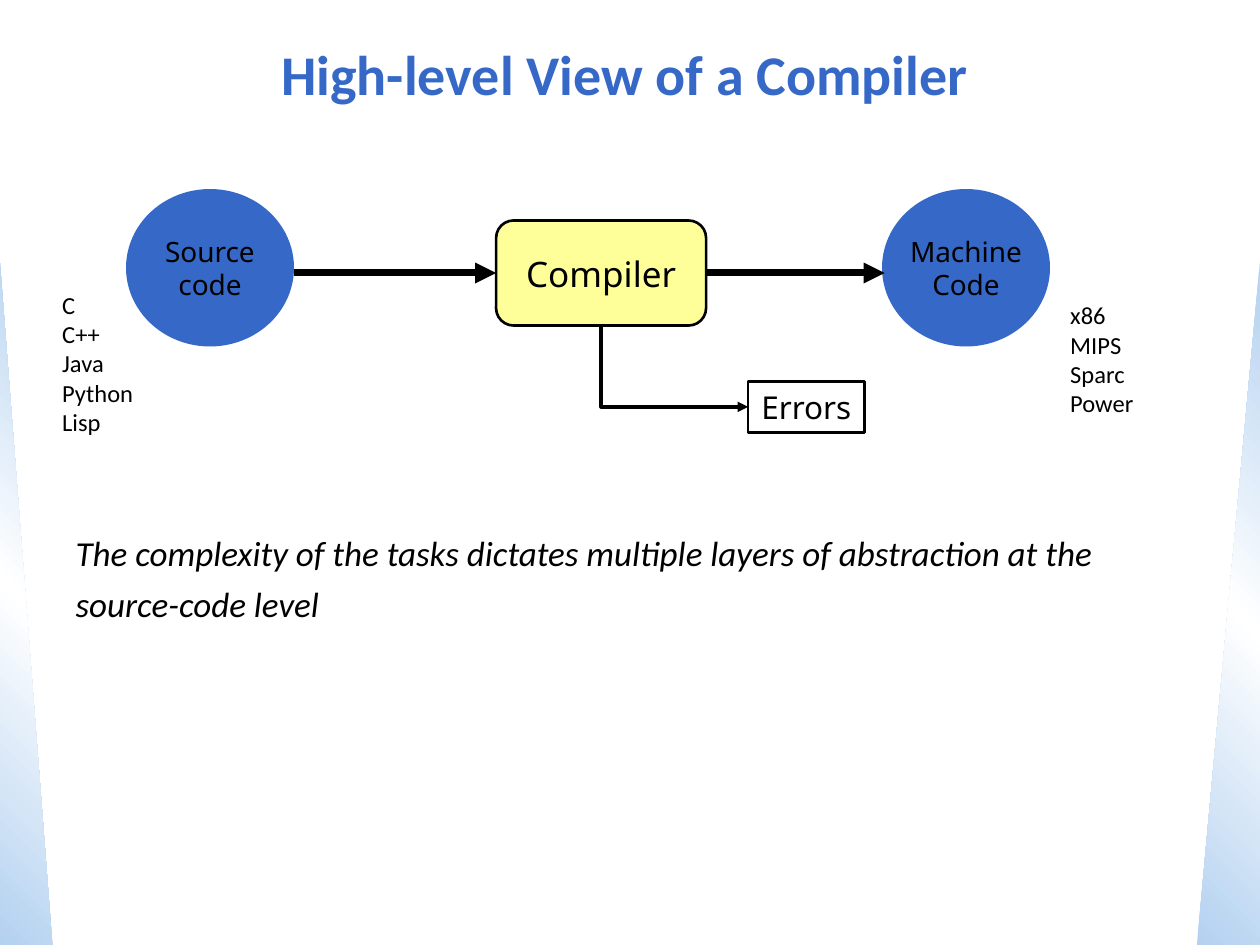
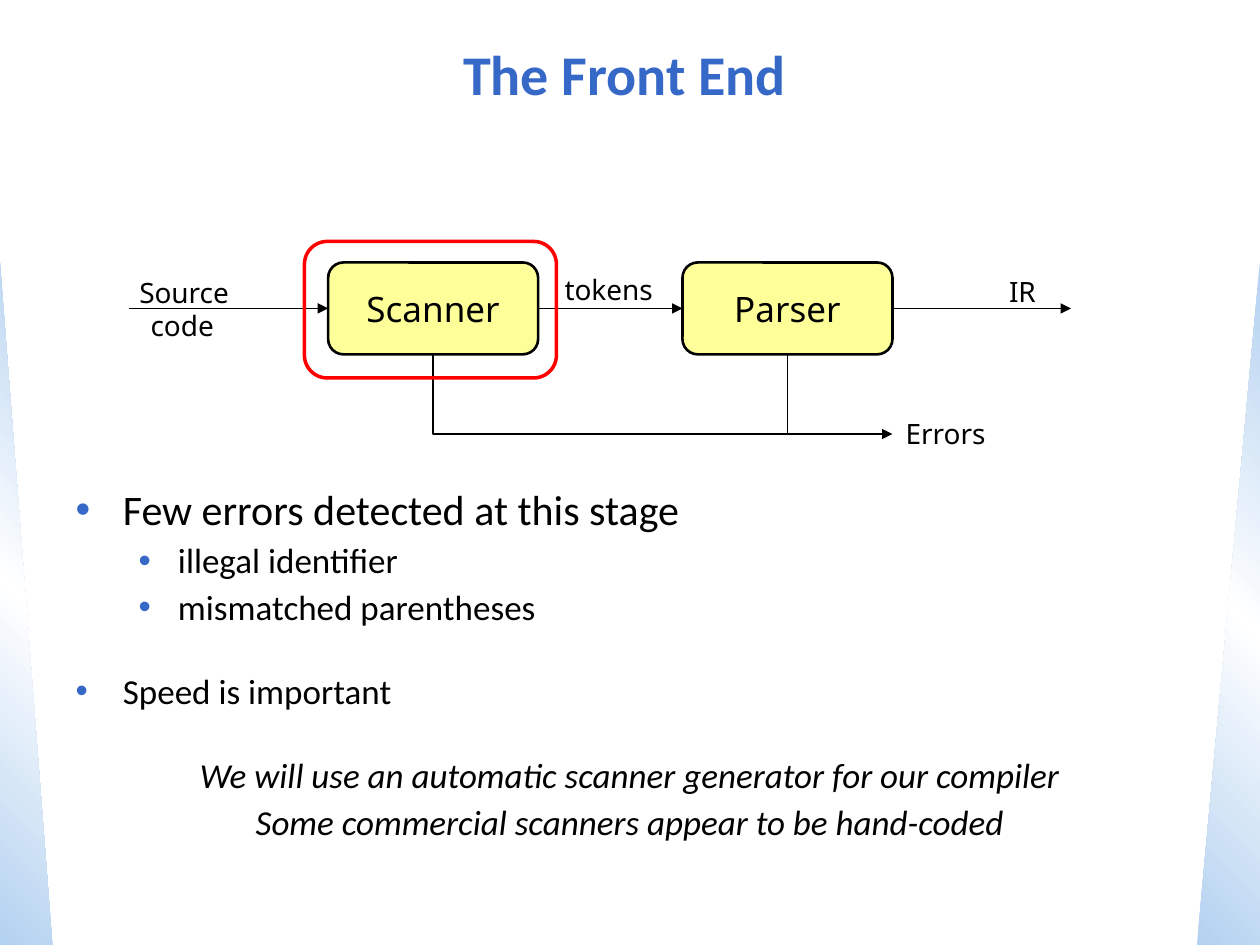
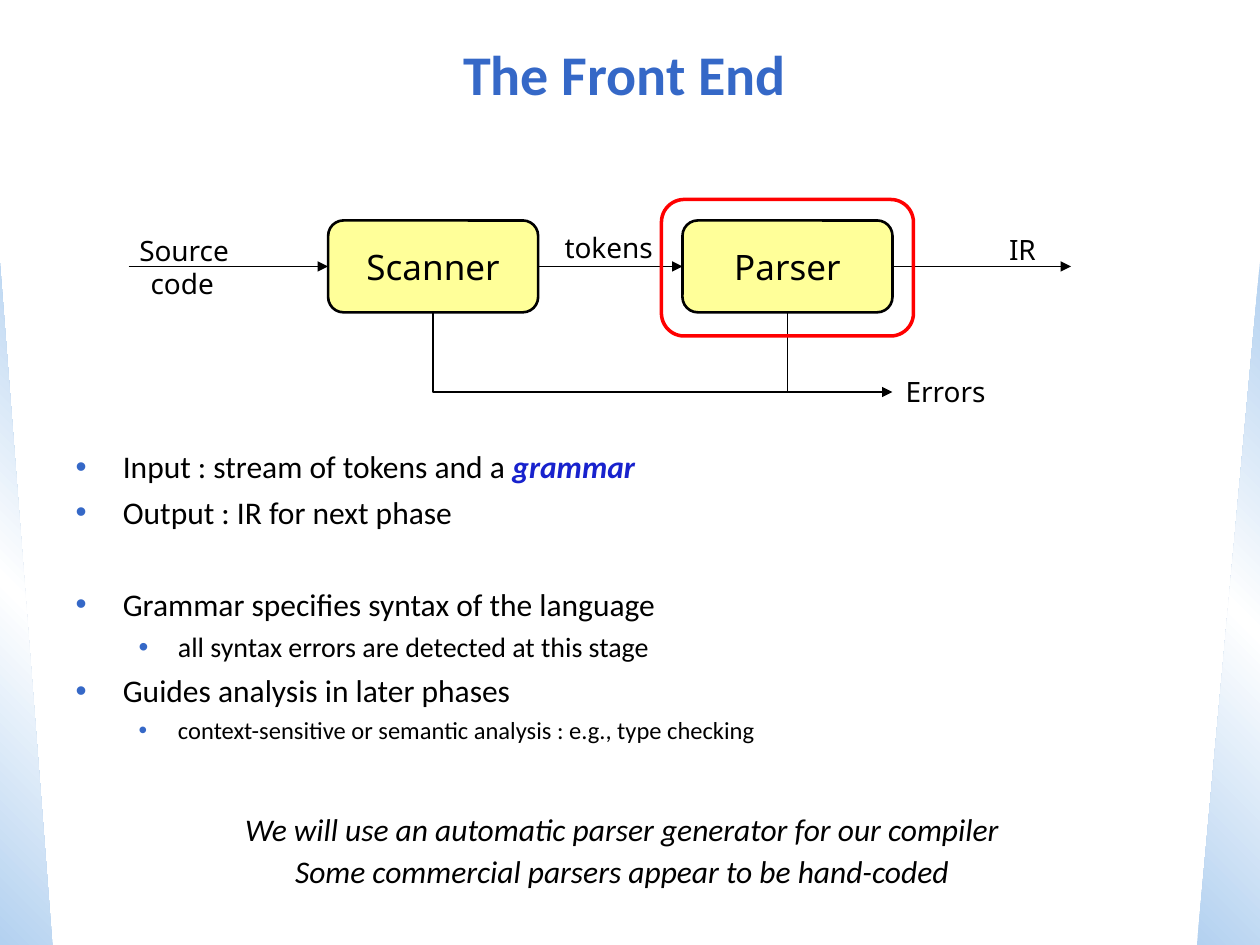
from copy import deepcopy

from pptx import Presentation
from pptx.dml.color import RGBColor
from pptx.enum.shapes import MSO_CONNECTOR, MSO_SHAPE
from pptx.enum.text import MSO_ANCHOR, MSO_AUTO_SIZE, PP_ALIGN
from pptx.oxml.ns import qn
from pptx.oxml.xmlchemy import OxmlElement
from pptx.util import Pt

STRAIGHT, ELBOW = MSO_CONNECTOR.STRAIGHT, MSO_CONNECTOR.ELBOW
RECT, ROUNDED = MSO_SHAPE.RECTANGLE, MSO_SHAPE.ROUNDED_RECTANGLE
OVAL, TRIANGLE = MSO_SHAPE.OVAL, MSO_SHAPE.RIGHT_TRIANGLE
LEFT, CENTER = PP_ALIGN.LEFT, PP_ALIGN.CENTER
MIDDLE, TOP = MSO_ANCHOR.MIDDLE, MSO_ANCHOR.TOP
BOTTOM_SIDE, LEFT_SIDE, RIGHT_SIDE = 2, 1, 3

BLUE = RGBColor(0x35, 0x68, 0xC7)
DEEP_BLUE = RGBColor(0x18, 0x22, 0xCD)
PALE_BLUE = RGBColor(0xB3, 0xD1, 0xF0)
YELLOW = RGBColor(0xFF, 0xFF, 0x99)
RED = RGBColor(0xFF, 0, 0)
BLACK = RGBColor(0, 0, 0)
WHITE = RGBColor(0xFF, 0xFF, 0xFF)
BODY_FONT, DIAGRAM_FONT = "Calibri", "Noto Sans"

# ---- Content ----
# Body lines: kind, size, space before, text, optional emphasised ending
OVERVIEW_BODY = [
    ("remark", 20, 0, "The complexity of the tasks dictates multiple layers of abstraction at the"),
    ("remark", 20, 5, "source-code level"),
]
SCANNER_BODY = [
    ("point", 24, 0, "Few errors detected at this stage"),
    ("detail", 20, 5, "illegal identifier"),
    ("detail", 20, 5, "mismatched parentheses"),
    ("point", 20, 26.5, "Speed is important"),
    ("closing", 20, 26.5, "We will use an automatic scanner generator for our compiler"),
    ("closing", 20, 5, "Some commercial scanners appear to be hand-coded"),
]
PARSER_BODY = [
    ("point", 18, 0, "Input : stream of tokens and a ", "grammar"),
    ("point", 18, 4.5, "Output : IR for next phase"),
    ("point", 18, 31, "Grammar specifies syntax of the language"),
    ("detail", 16, 4, "all syntax errors are detected at this stage"),
    ("point", 18, 4.5, "Guides analysis in later phases"),
    ("detail", 14, 3.5, "context-sensitive or semantic analysis : e.g., type checking"),
]
PARSER_CLOSING = [
    ("closing", 18, 0, "We will use an automatic parser generator for our compiler"),
    ("closing", 18, 4.5, "Some commercial parsers appear to be hand-coded"),
]
# Kind: level, left margin, first-line indent, alignment
LINE_KINDS = {
    "point": (0, 27, -27, LEFT),
    "detail": (1, 58.5, -22.5, LEFT),
    "remark": (0, 0, 0, LEFT),
    "closing": (0, 0, 0, CENTER),
}
SOURCE_LANGUAGES = ["C", "C++", "Java", "Python", "Lisp"]
TARGET_MACHINES = ["x86", "MIPS", "Sparc", "Power"]
# Front-end labels: text, left, offset from the stage tops, width
FRONT_END_LABELS = [
    ("Source", 72.5, 4, 65.5),
    ("code", 79, 22.8, 50.5),
    ("tokens", 315.5, 2, 65),
    ("IR", 569.5, 3.5, 29.5),
    ("Errors", 510.5, 84.7, 60.5),
]


# ---- Text ----
def style(font, size, name, color=BLACK, bold=False, italic=False):
    font.size, font.name, font.bold, font.italic = Pt(size), name, bold, italic
    font.color.rgb = color


def add_bullet(p_pr):
    bullet_color = OxmlElement("a:buClr")
    rgb = OxmlElement("a:srgbClr")
    rgb.set("val", str(BLUE))
    bullet_color.append(rgb)
    bullet = OxmlElement("a:buChar")
    bullet.set("char", "•")
    p_pr.extend([bullet_color, bullet])


def write_lines(frame, lines, spacing):
    frame.word_wrap = True
    frame.auto_size = MSO_AUTO_SIZE.NONE
    frame.text = "\n".join(line[3] for line in lines)
    for paragraph, (kind, size, before, _, *ending) in zip(frame.paragraphs, lines):
        level, margin, indent, align = LINE_KINDS[kind]
        bulleted = kind in ("point", "detail")
        p_pr = paragraph._p.get_or_add_pPr()
        p_pr.set("marL", str(Pt(margin)))
        p_pr.set("indent", str(Pt(indent)))
        if bulleted:
            add_bullet(p_pr)
        else:
            p_pr.append(OxmlElement("a:buNone"))
        paragraph.level, paragraph.alignment = level, align
        paragraph.line_spacing, paragraph.space_before = spacing, Pt(before)
        style(paragraph.runs[0].font, size, BODY_FONT, italic=not bulleted)
        for text in ending:
            run = paragraph.add_run()
            run.text = text
            style(run.font, size, BODY_FONT, DEEP_BLUE, bold=True, italic=True)


def fill_text(frame, text, size, font, align, anchor):
    frame.word_wrap = False
    frame.vertical_anchor = anchor
    frame.text = text
    for paragraph in frame.paragraphs:
        paragraph.alignment = align
        style(paragraph.runs[0].font, size, font)


def add_label(slide, text, left, top, width, height=26.5, size=16, font=DIAGRAM_FONT):
    label = slide.shapes.add_textbox(Pt(left), Pt(top), Pt(width), Pt(height))
    fill_text(label.text_frame, text, size, font, LEFT, TOP)


# ---- Shapes and arrows ----
def add_block(slide, kind, box, fill=None, line=None, width=1.5, text="", size=20):
    block = slide.shapes.add_shape(kind, *map(Pt, box))
    block.shadow.inherit = False
    if fill is None:
        block.fill.background()
    else:
        block.fill.solid()
        block.fill.fore_color.rgb = fill
    if line is None:
        block.line.fill.background()
    else:
        block.line.color.rgb, block.line.width = line, Pt(width)
    if text:
        frame = block.text_frame
        frame.margin_left = frame.margin_right = 0
        fill_text(frame, text, size, DIAGRAM_FONT, CENTER, MIDDLE)
    return block


def finish_line(line, width, arrow=True):
    line.line.color.rgb, line.line.width = BLACK, Pt(width)
    if arrow:
        head = OxmlElement("a:tailEnd")
        head.set("type", "triangle")
        line.line._get_or_add_ln().append(head)
    line.element.spPr.append(OxmlElement("a:effectLst"))


def add_line(slide, start, end, width, arrow=True):
    """Each end is a point (x, y) or a joined side (shape, side)."""
    points = [(0, 0) if hasattr(spot[0], "shape_id") else spot for spot in (start, end)]
    line = slide.shapes.add_connector(STRAIGHT, *(Pt(v) for point in points for v in point))
    for spot, join in ((start, line.begin_connect), (end, line.end_connect)):
        if hasattr(spot[0], "shape_id"):
            join(*spot)
    finish_line(line, width, arrow)


def add_down_right_arrow(slide, x1, y1, x2, y2, width):
    """One bend: the turned preset needs a box with its sides swapped."""
    run, drop = x2 - x1, y2 - y1
    left, top = (x1 + x2 - drop) / 2, (y1 + y2 - run) / 2
    arrow = slide.shapes.add_connector(ELBOW, Pt(left), Pt(top), Pt(left + drop), Pt(top + run))
    properties = arrow.element.spPr
    properties.find(qn("a:prstGeom")).set("prst", "bentConnector2")
    transform = properties.find(qn("a:xfrm"))
    transform.set("rot", str(270 * 60000))
    transform.set("flipH", "1")
    finish_line(arrow, width)


# ---- Shared slide parts ----
def add_side_bands(slide, layout):
    """Draw the two side bands and move them behind everything on the layout."""
    for left, width, angle, flipped in ((0, 30, 225, False), (684, 36, 135, True)):
        band = add_block(slide, TRIANGLE, (left, 150, width, 390))
        band.fill.gradient()
        band.fill.gradient_angle = angle
        stop_list = band.element.spPr.find(".//" + qn("a:gsLst"))
        stop_list.append(deepcopy(stop_list[0]))
        colors = (PALE_BLUE, WHITE, PALE_BLUE)
        for stop, position, color in zip(band.fill.gradient_stops, (0, 0.5, 1), colors):
            stop.position, stop.color.rgb = position, color
        if flipped:
            band.element.spPr.find(qn("a:xfrm")).set("flipH", "1")
        layout.shapes.element.insert(2, band.element)


def place(shape, left, top, width, height):
    shape.left, shape.top, shape.width, shape.height = map(Pt, (left, top, width, height))


def new_slide(deck, title_text, body_lines, body_top, body_height, spacing=1.0):
    slide = deck.slides.add_slide(deck.slide_layouts[1])
    title, body = slide.placeholders
    place(title, 18, 12, 678, 60)
    title.text_frame.text = title_text
    title.text_frame.vertical_anchor = MIDDLE
    title.text_frame.auto_size = MSO_AUTO_SIZE.NONE
    title.text_frame.paragraphs[0].alignment = CENTER
    style(title.text_frame.paragraphs[0].runs[0].font, 32, BODY_FONT, BLUE, bold=True)
    place(body, 36, body_top, 648, body_height)
    write_lines(body.text_frame, body_lines, spacing)
    return slide


# ---- Diagrams ----
def draw_overview(slide):
    axis = 156
    compiler = add_block(slide, ROUNDED, (283.5, 126, 120, 60), YELLOW, BLACK, text="Compiler")
    add_line(slide, (168, axis), (compiler, LEFT_SIDE), 4)
    add_block(slide, RECT, (427.5, 218, 66.5, 29), line=BLACK, text="Errors", size=18)
    add_down_right_arrow(slide, 343.5, 187, 427.5, 232.5, 2)
    for left, text in ((72, "Source\ncode"), (504, "Machine\nCode")):
        add_block(slide, OVAL, (left, 108, 96, 90), BLUE, text=text, size=16)
    add_line(slide, (compiler, RIGHT_SIDE), (505.5, axis), 4)
    add_label(slide, "\n".join(SOURCE_LANGUAGES), 28.5, 162, 60.5, 91.5, 14, BODY_FONT)
    add_label(slide, "\n".join(TARGET_MACHINES), 604.5, 168, 56, 75, 14, BODY_FONT)


def draw_front_end(slide, top, frame_left):
    axis, error_level = top + 26.25, top + 98
    scanner, parser = (
        add_block(slide, ROUNDED, (left, top, 120, 52.5), YELLOW, BLACK, text=text)
        for left, text in ((187.5, "Scanner"), (390, "Parser"))
    )
    add_down_right_arrow(slide, 247.5, top + 52.5, 510, error_level, 0.75)
    add_line(slide, (73.5, axis), (scanner, LEFT_SIDE), 0.75)
    add_line(slide, (scanner, RIGHT_SIDE), (parser, LEFT_SIDE), 0.75)
    add_line(slide, (parser, RIGHT_SIDE), (612, axis), 0.75)
    add_line(slide, (parser, BOTTOM_SIDE), (450, error_level), 0.75, arrow=False)
    for text, left, offset, width in FRONT_END_LABELS:
        add_label(slide, text, left, top + offset, width)
    add_block(slide, ROUNDED, (frame_left, top - 12, 144, 78), line=RED, width=2)


def main():
    deck = Presentation()
    deck.slide_width, deck.slide_height = Pt(720), Pt(540)

    overview = new_slide(deck, "High-level View of a Compiler", OVERVIEW_BODY, 300, 200)
    add_side_bands(overview, deck.slide_layouts[1])
    draw_overview(overview)

    scanning = new_slide(deck, "The Front End", SCANNER_BODY, 276, 240, spacing=0.9)
    draw_front_end(scanning, 150, 174)

    parsing = new_slide(deck, "The Front End", PARSER_BODY, 252, 200)
    draw_front_end(parsing, 126, 378)
    closing = parsing.shapes.add_textbox(Pt(111), Pt(462), Pt(489), Pt(51))
    write_lines(closing.text_frame, PARSER_CLOSING, 0.9)

    deck.save("out.pptx")


if __name__ == "__main__":
    main()
